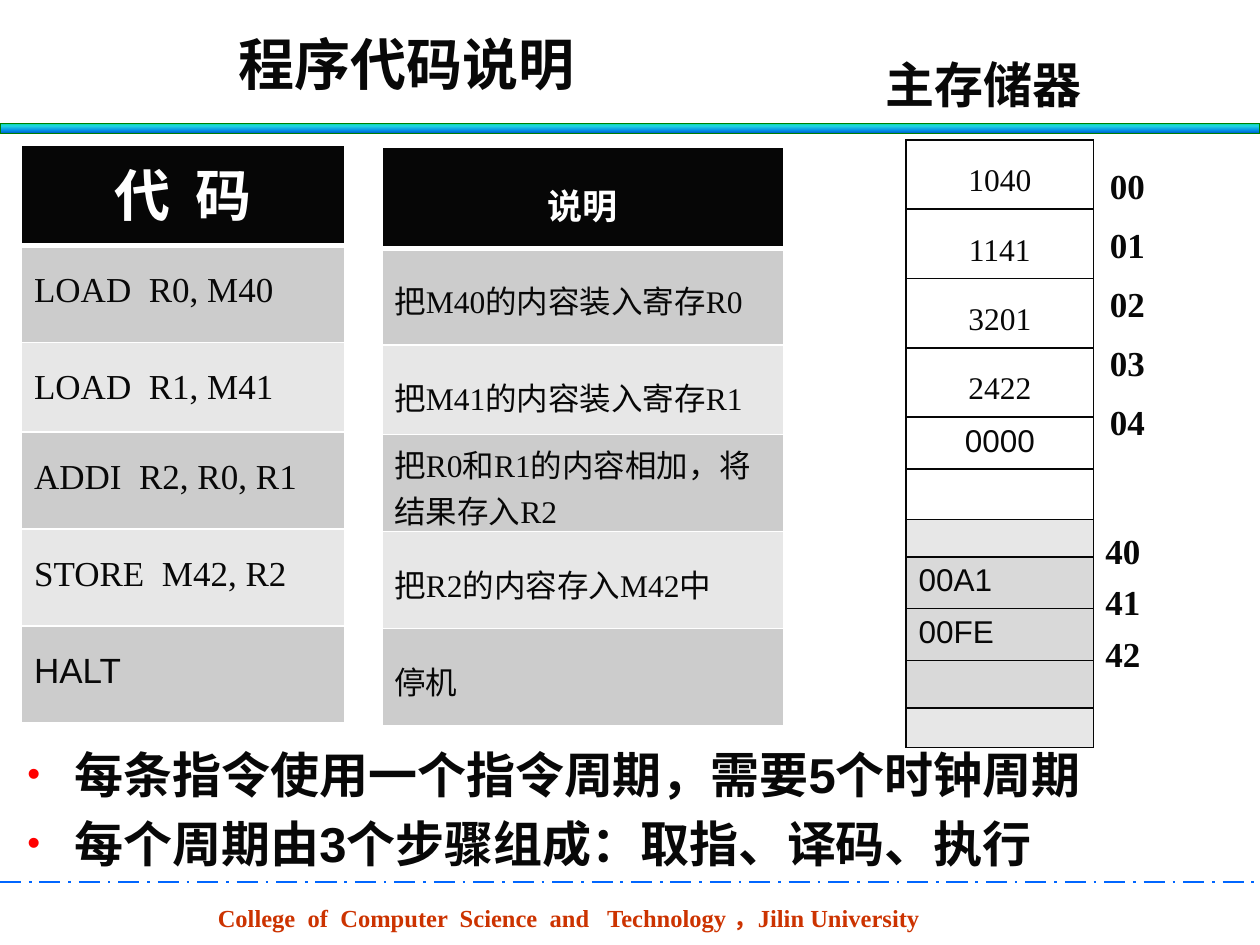
from lxml import etree
from pptx import Presentation
from pptx import util as u
from pptx.dml.color import RGBColor
from pptx.enum import dml, shapes, text
from pptx.oxml.ns import qn

INK = RGBColor(0x08, 0x08, 0x08)
BLACK = RGBColor(0x06, 0x06, 0x06)
WHITE = RGBColor(0xFF, 0xFF, 0xFF)
DARK = RGBColor(0xCC, 0xCC, 0xCC)
MIDDLE = RGBColor(0xD9, 0xD9, 0xD9)
LIGHT = RGBColor(0xE7, 0xE7, 0xE7)
RED = RGBColor(0xFF, 0x00, 0x00)
RUST = RGBColor(0xCC, 0x33, 0x00)
BLUE = RGBColor(0x00, 0x66, 0xFF)
GREEN = RGBColor(0x00, 0x80, 0x00)
BAR_STOPS = [(0, RGBColor(0x03, 0xD4, 0xA8)), (25, RGBColor(0x21, 0xD6, 0xE0)),
             (75, RGBColor(0x00, 0x87, 0xE6)), (100, RGBColor(0x00, 0x5C, 0xBF))]

SERIF, SANS = "Times New Roman", "Arial"
CENTER, JUSTIFY = text.PP_ALIGN.CENTER, text.PP_ALIGN.JUSTIFY
COLUMNS, ROWS = 100, 75


def child(parent, tag, **attributes):
    return etree.SubElement(parent, qn(tag), **attributes)


def solid(parent, color):
    child(child(parent, "a:solidFill"), "a:srgbClr", val=str(color))


class SlideBuilder:
    """Places elements on a grid of 100 columns by 75 rows."""

    def __init__(self, deck):
        self.cell_size = deck.slide_width // COLUMNS
        self.slide = deck.slides.add_slide(deck.slide_layouts[6])

    def grid(self, *lengths):
        return [u.Emu(round(length * self.cell_size)) for length in lengths]

    def style(self, para, size, font=SERIF, color=INK, bold=False, align=None, spacing=None):
        para.alignment = align
        para.line_spacing = spacing
        para.font.size, para.font.name = u.Pt(size), font
        para.font.bold, para.font.color.rgb = bold, color

    def text_box(self, at, words, size, wrap=True, color=INK, align=None):
        frame = self.slide.shapes.add_textbox(*self.grid(*at)).text_frame
        frame.word_wrap = wrap
        frame.auto_size = text.MSO_AUTO_SIZE.SHAPE_TO_FIT_TEXT
        frame.text = words
        self.style(frame.paragraphs[0], size, color=color, bold=True, align=align)

    def bullets(self, at, lines):
        frame = self.slide.shapes.add_textbox(*self.grid(*at)).text_frame
        frame.word_wrap = True
        frame.text = "\n".join(lines)
        for index, para in enumerate(frame.paragraphs):
            indent = self.grid(3.75)[0]
            props = para._p.get_or_add_pPr()
            props.set("marL", str(indent))
            props.set("indent", str(-indent))
            child(child(props, "a:buClr"), "a:srgbClr", val=str(RED))
            child(props, "a:buSzPct", val="75000")
            child(props, "a:buFont", typeface=SANS)
            child(props, "a:buChar", char="•")
            self.style(para, 28, SANS, bold=True, align=JUSTIFY)
            if index:
                para.space_before = u.Pt(6)

    def gradient_bar(self, at):
        bar = self.slide.shapes.add_shape(shapes.MSO_SHAPE.RECTANGLE, *self.grid(*at))
        bar.shadow.inherit = False
        bar.fill.gradient()
        bar.fill.gradient_angle = 270
        stops = bar._element.spPr.find(qn("a:gradFill")).find(qn("a:gsLst"))
        stops[:] = []
        for share, color in BAR_STOPS:
            stop = child(stops, "a:gs", pos=str(share * 1000))
            child(stop, "a:srgbClr", val=str(color))
        bar.line.color.rgb, bar.line.width = GREEN, u.Pt(0.75)

    def dashed_rule(self, row):
        rule = self.slide.shapes.add_connector(
            shapes.MSO_CONNECTOR.STRAIGHT, *self.grid(0, row, COLUMNS, row))
        rule.line.color.rgb, rule.line.width = BLUE, u.Pt(1.5)
        rule.line.dash_style = dml.MSO_LINE.LONG_DASH_DOT
        child(rule._element.spPr, "a:effectLst")

    def table(self, left, top, width, heights, cells, border):
        """Each cell is (words, fill, bottom border width, text style)."""
        frame = self.slide.shapes.add_table(
            len(cells), 1, *self.grid(left, top, width, sum(heights)))
        table = frame.table
        table.first_row = table.horz_banding = False
        table.columns[0].width = self.grid(width)[0]
        for index, (words, fill, bottom, style) in enumerate(cells):
            table.rows[index].height = self.grid(heights[index])[0]
            cell = table.cell(index, 0)
            props = cell._tc.get_or_add_tcPr()
            for side, points in zip("LRTB", (1, 1, 1, bottom)):
                solid(child(props, f"a:ln{side}", w=str(u.Pt(points))), border)
            cell.fill.solid()
            cell.fill.fore_color.rgb = fill
            cell.text = words
            para = cell.text_frame.paragraphs[0]
            if words:
                self.style(para, **style)
            else:
                child(para._p, "a:endParaRPr", sz="800")


def listing_cells(header, header_style, entries):
    """A black header, then rows shaded in turn."""
    body = [(words, LIGHT if index % 2 else DARK, 1, style)
            for index, (words, style) in enumerate(entries)]
    return [(header, BLACK, 3, dict(color=WHITE, bold=True, align=CENTER, **header_style))] + body


def main():
    deck = Presentation()
    deck.slide_width, deck.slide_height = u.Inches(10), u.Inches(7.5)
    page = SlideBuilder(deck)

    # Frame: footer, rules and headings
    page.text_box((16.3, 71.2, 59.2, 3.3),
                  "College  of  Computer  Science  and   Technology ，Jilin University", 14, color=RUST)
    page.dashed_rule(70)
    page.gradient_bar((0, 9.8, COLUMNS, 0.8))
    page.text_box((3.5, 1.85, 57.5, 6.3), "程序代码说明", 32, align=CENTER)
    page.text_box((69.3, 3.85, 17.8, 5.7), "主存储器", 28, wrap=False)

    # Program code and its explanation
    heights = [8, 7.7, 7.1, 7.7, 7.7, 7.7]
    code = dict(size=20, spacing=1.5)
    note = dict(size=18, spacing=1.5)
    page.table(1.7, 11.5, 25.7, heights, listing_cells("代  码", dict(size=32), [
        ("LOAD  R0, M40", code), ("LOAD  R1, M41", code), ("ADDI  R2, R0, R1", code),
        ("STORE  M42, R2", code), ("HALT", dict(code, font=SANS))]), WHITE)
    page.table(30.3, 11.7, 31.9, heights, listing_cells("说明", dict(code, font=SANS), [
        ("把M40的内容装入寄存R0", note), ("把M41的内容装入寄存R1", note),
        ("把R0和R1的内容相加，将结果存入R2", dict(size=18)),
        ("把R2的内容存入M42中", note), ("停机", dict(note, font=SANS))]), WHITE)

    # Main memory: instructions, then data
    word = dict(note, align=CENTER)
    data = dict(size=18, font=SANS)
    memory = [(words, WHITE, 1, word) for words in ("1040", "1141", "3201", "2422")]
    memory += [("0000", WHITE, 1, dict(data, align=CENTER)), ("", WHITE, 1, None),
               ("", LIGHT, 1, None), ("00A1", MIDDLE, 1, data), ("00FE", MIDDLE, 1, data),
               ("", MIDDLE, 1, None), ("", LIGHT, 1, None)]
    page.table(71.9, 11.1, 14.9, [5.5] * 4 + [4.1, 4, 3, 4.1, 4.1, 3.8, 3.1], memory, BLACK)

    # Memory addresses
    for left, top, step, addresses in ((87.1, 12.6, 4.67, ("00", "01", "02", "03", "04")),
                                       (86.75, 41.5, 4.1, ("40", "41", "42"))):
        for index, address in enumerate(addresses):
            page.text_box((left, top + index * step, 4.8, 4.4), address, 20, wrap=False)

    # Closing remarks
    page.bullets((1.2, 58.6, 97.7, 11),
                 ["每条指令使用一个指令周期，需要5个时钟周期", "每个周期由3个步骤组成：取指、译码、执行"])
    deck.save("out.pptx")


if __name__ == "__main__":
    main()
